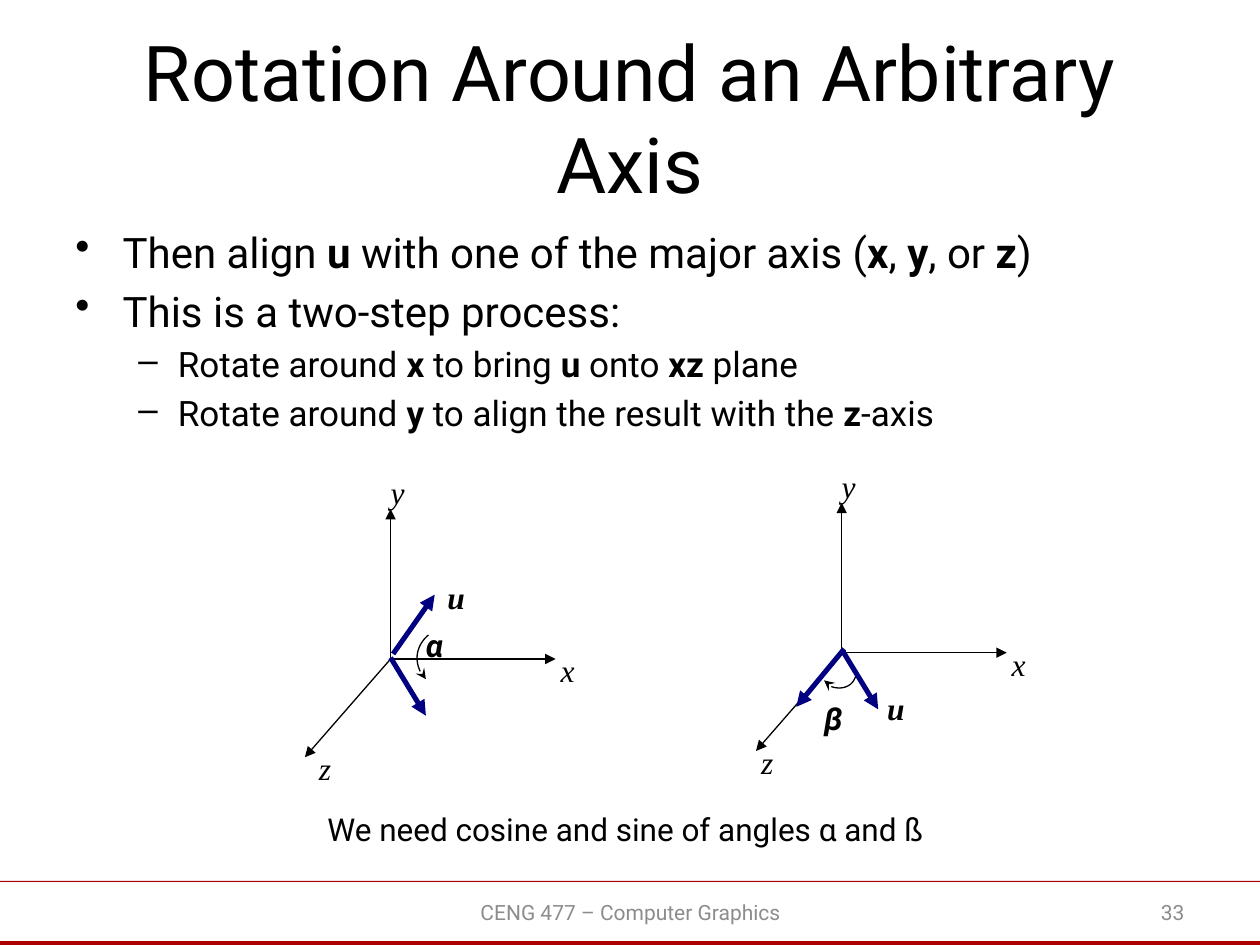
from lxml import etree
from pptx import Presentation
from pptx.dml.color import RGBColor
from pptx.enum.shapes import MSO_CONNECTOR, MSO_SHAPE
from pptx.enum.text import MSO_ANCHOR, PP_ALIGN
from pptx.oxml.ns import qn
from pptx.util import Inches, Pt

STRAIGHT, RECT = MSO_CONNECTOR.STRAIGHT, MSO_SHAPE.RECTANGLE
TOP, MIDDLE = MSO_ANCHOR.TOP, MSO_ANCHOR.MIDDLE
LEFT, CENTER, RIGHT = PP_ALIGN.LEFT, PP_ALIGN.CENTER, PP_ALIGN.RIGHT
BLACK = RGBColor(0x00, 0x00, 0x00)
NAVY = RGBColor(0x00, 0x00, 0x80)
RED = RGBColor(0xAD, 0x01, 0x01)
GRAY = RGBColor(0x8C, 0x8C, 0x8C)
SANS, SERIF = "Roboto", "Times New Roman"

prs = Presentation()
prs.slide_width, prs.slide_height = Inches(10), Inches(7.5)
COL, ROW = prs.slide_width // 100, prs.slide_height // 75
s = prs.slides.add_slide(prs.slide_layouts[6])


def add_text(x, y, w, h, text, size, font=SANS, color=BLACK, align=LEFT,
             anchor=TOP, wrap=True, label=False, bold=False):
    sp = s.shapes.add_textbox(int(x * COL), int(y * ROW), int(w * COL), int(h * ROW))
    tf = sp.text_frame
    tf.word_wrap, tf.vertical_anchor = wrap, anchor
    p = tf.paragraphs[0]
    p.alignment = align
    r = p.add_run()
    r.text = text
    r.font.size, r.font.name, r.font.color.rgb = Pt(size), font, color
    if label:
        tf.margin_left = tf.margin_right = tf.margin_top = tf.margin_bottom = 0
        p.line_spacing = 1.02
        r.font.italic, r.font.bold = True, bold


def style_arrow(sp, color, width, head):
    sp.line.color.rgb, sp.line.width = color, Pt(width)
    etree.SubElement(sp.line._get_or_add_ln(), qn("a:tailEnd"), type=head)
    if sp._element.spPr.find(qn("a:effectLst")) is None:
        etree.SubElement(sp._element.spPr, qn("a:effectLst"))


for y, h in [(69.9, 0.1), (74.7, 0.3)]:
    sp = s.shapes.add_shape(RECT, 0, int(y * ROW), prs.slide_width, int(h * ROW))
    sp.shadow.inherit = False
    sp.fill.solid()
    sp.fill.fore_color.rgb = RED
    sp.line.fill.background()

add_text(5, 3, 90, 12.5, "Rotation Around an Arbitrary Axis", 44, align=CENTER, anchor=MIDDLE)

bullets = [
    (0, ["Then align ", "u", " with one of the major axis (", "x", ", ", "y", ", or ", "z", ")"]),
    (0, ["This is a two-step process:"]),
    (1, ["Rotate around ", "x", " to bring ", "u", " onto ", "xz", " plane"]),
    (1, ["Rotate around ", "y", " to align the result with the ", "z", "-axis"]),
]
levels = [(24, 3.75, 3.75, "•"), (20, 8.13, 3.13, "–")]
tf = s.shapes.add_textbox(5 * COL, int(17.5 * ROW), 90 * COL, int(49.5 * ROW)).text_frame
tf.word_wrap = True
for i, (level, parts) in enumerate(bullets):
    size, margin, hang, mark = levels[level]
    p = tf.add_paragraph() if i else tf.paragraphs[0]
    p.level = level
    p.space_before = Pt(size * 0.2)
    pPr = p._p.get_or_add_pPr()
    pPr.set("marL", str(int(margin * COL)))
    pPr.set("indent", str(-int(hang * COL)))
    etree.SubElement(pPr, qn("a:buChar"), char=mark)
    for j, part in enumerate(parts):
        r = p.add_run()
        r.text = part
        r.font.size, r.font.name, r.font.color.rgb = Pt(size), SANS, BLACK
        r.font.bold = j % 2 == 1

axes = [(0, -11.9), (13.1, 0), (-6.8, 7.8)]
diagrams = [
    dict(origin=(31, 52.3), z=-5.7, u=(4.5, -6.5), angle=("α", 2.8, -2.7),
         vectors=[(0.2, -0.4, 3.5, -5.1), (0, -0.1, 2.8, 4.5)],
         arc=[(3, -1.9), (2.5, -1.5), (2.1, -0.8), (2.1, -0.1),
              (2.1, 0.6), (2.4, 1.2), (2.8, 1.6)]),
    dict(origin=(66.8, 51.8), z=-6.4, u=(3.6, 2.8), angle=("β", -1.4, 3.6),
         vectors=[(0.2, -0.3, -3.6, 4.3), (0.1, -0.1, 2.9, 4.5)],
         arc=[(1.1, 1.9), (0.9, 2.5), (0.4, 2.8), (-0.2, 2.8),
              (-0.7, 2.8), (-1.2, 2.6), (-1.4, 2.2)]),
]
for d in diagrams:
    ox, oy = d["origin"]
    arrows = [(0, 0, x, y, BLACK, 0.75) for x, y in axes]
    arrows += [(*v, NAVY, 2.89) for v in d["vectors"]]
    for x1, y1, x2, y2, color, width in arrows:
        sp = s.shapes.add_connector(STRAIGHT, int((ox + x1) * COL), int((oy + y1) * ROW),
                                    int((ox + x2) * COL), int((oy + y2) * ROW))
        style_arrow(sp, color, width, "triangle")

    points = []
    for k in (0, 3):
        a, b, c, e = d["arc"][k:k + 4]
        for t in [n / 12 for n in range(13)]:
            x, y = [(1 - t) ** 3 * a[m] + 3 * (1 - t) ** 2 * t * b[m]
                    + 3 * (1 - t) * t ** 2 * c[m] + t ** 3 * e[m] for m in (0, 1)]
            points.append((int((ox + x) * COL), int((oy + y) * ROW)))
    builder = s.shapes.build_freeform(*points[0])
    builder.add_line_segments(points[1:], close=False)
    sp = builder.convert_to_shape()
    sp.shadow.inherit = False
    sp.fill.background()
    style_arrow(sp, BLACK, 0.75, "stealth")

    for name, x, y, w in [("z", d["z"], 7.1, 1.2), ("x", 13.5, -0.7, 1.4), ("y", 0, -14.8, 1.2)]:
        add_text(ox + x, oy + y, w, 3.1, name, 18, SERIF, wrap=False, label=True)
    for name, x, y, font in [("u", *d["u"], SERIF), (*d["angle"], SANS)]:
        add_text(ox + x, oy + y, 2.2, 3.1, name, 18, font, wrap=False, label=True, bold=True)

add_text(25, 63.8, 52, 7.1, "We need cosine and sine of angles α and ß", 18, wrap=False)
add_text(34.2, 70.4, 31.7, 4, "CENG 477 – Computer Graphics", 12, color=GRAY, align=CENTER, anchor=MIDDLE)
add_text(71.7, 70.4, 23.3, 4, "33", 12, color=GRAY, align=RIGHT, anchor=MIDDLE)

prs.save("out.pptx")
